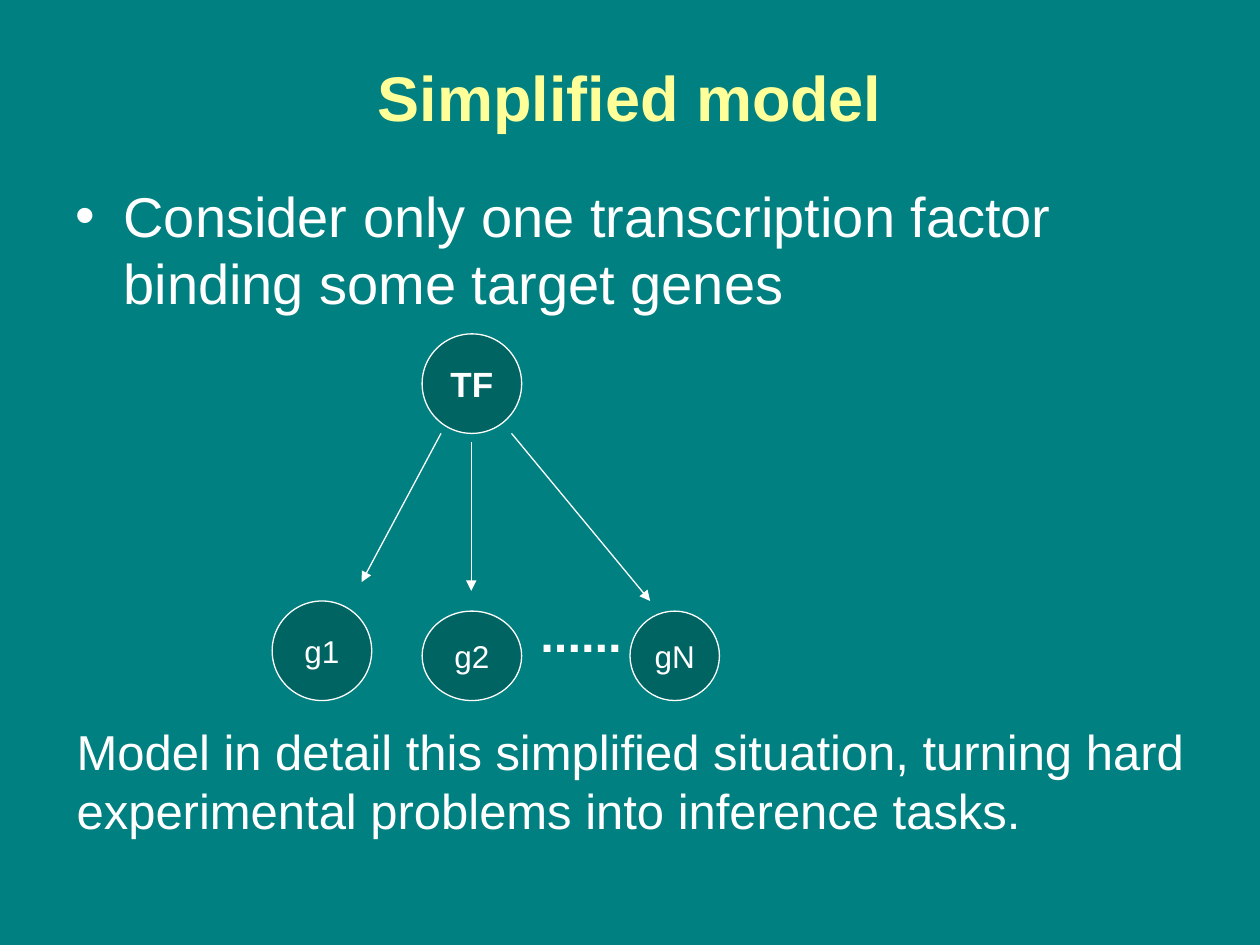
import pptx
import pptx.util
import pptx.dml.color
import pptx.enum.shapes
import pptx.enum.text
import pptx.oxml
import pptx.oxml.ns
from pptx.util import Inches

TEAL = pptx.dml.color.RGBColor(0x00, 0x80, 0x80)
DARK_TEAL = pptx.dml.color.RGBColor(0x00, 0x64, 0x62)
WHITE = pptx.dml.color.RGBColor(0xFF, 0xFF, 0xFF)
YELLOW = pptx.dml.color.RGBColor(0xFF, 0xFF, 0x99)
ALIGN = pptx.enum.text.PP_ALIGN
ANCHOR = pptx.enum.text.MSO_ANCHOR
AUTO_SIZE = pptx.enum.text.MSO_AUTO_SIZE


def add_text(paragraph, text, size, color=WHITE, bold=False, align=ALIGN.LEFT):
    paragraph.alignment = align
    paragraph.space_before = pptx.util.Pt(0)
    run = paragraph.add_run()
    run.text = text
    run.font.name = "Arial"
    run.font.size = pptx.util.Pt(size)
    run.font.bold = bold
    run.font.color.rgb = color


def add_element(parent, tag, **attributes):
    element = pptx.oxml.parse_xml(f"<a:{tag} {pptx.oxml.ns.nsdecls('a')}/>")
    for key, value in attributes.items():
        element.set(key, value)
    parent.append(element)


presentation = pptx.Presentation()
presentation.slide_width = Inches(10)
presentation.slide_height = Inches(7.5)
slide = presentation.slides.add_slide(presentation.slide_layouts[1])
slide.background.fill.solid()
slide.background.fill.fore_color.rgb = TEAL

# Title
title = slide.shapes.title
title.left, title.top, title.width, title.height = map(Inches, (0.5, 0.3, 9, 0.93))
title.text_frame.auto_size = AUTO_SIZE.NONE
title.text_frame.vertical_anchor = ANCHOR.MIDDLE
add_text(title.text_frame.paragraphs[0], "Simplified model", 36, YELLOW, True, ALIGN.CENTER)

# Bulleted assumption
assumption = slide.placeholders[1]
assumption.left, assumption.top, assumption.width, assumption.height = map(
    Inches, (0.5, 1.39, 9, 5.31))
assumption.text_frame.auto_size = AUTO_SIZE.NONE
bullet_paragraph = assumption.text_frame.paragraphs[0]
add_text(bullet_paragraph,
         "Consider only one transcription factor binding some target genes", 32)
bullet_format = bullet_paragraph._p.get_or_add_pPr()
bullet_format.set("marL", str(Inches(0.38)))
bullet_format.set("indent", str(Inches(-0.38)))
add_element(bullet_format, "buFont", typeface="Arial")
add_element(bullet_format, "buChar", char="•")

# Transcription factor and its target genes
nodes = [
    ("TF", 3.35, 2.65, 0.79, 0.79, 20, True),
    ("g1", 2.16, 4.77, 0.79, 0.79, 18, False),
    ("g2", 3.35, 4.85, 0.79, 0.71, 18, False),
    ("gN", 5, 4.85, 0.71, 0.71, 18, False),
]
for label, left, top, width, height, size, bold in nodes:
    node = slide.shapes.add_shape(pptx.enum.shapes.MSO_SHAPE.OVAL, Inches(left),
                                  Inches(top), Inches(width), Inches(height))
    node.shadow.inherit = False
    node.fill.solid()
    node.fill.fore_color.rgb = DARK_TEAL
    node.line.color.rgb = WHITE
    node.line.width = pptx.util.Pt(0.75)
    node.text_frame.word_wrap = False
    node.text_frame.vertical_anchor = ANCHOR.MIDDLE
    add_text(node.text_frame.paragraphs[0], label, size, bold=bold, align=ALIGN.CENTER)

# Binding arrows
bindings = [(3.5, 3.44, 2.87, 4.62), (3.74, 3.51, 3.74, 4.69), (4.06, 3.44, 5.16, 4.77)]
for ends in bindings:
    binding = slide.shapes.add_connector(
        pptx.enum.shapes.MSO_CONNECTOR.STRAIGHT, *map(Inches, ends))
    binding.line.color.rgb = WHITE
    binding.line.width = pptx.util.Pt(0.75)
    add_element(binding.line._get_or_add_ln(), "tailEnd", type="triangle")
    add_element(binding._element.spPr, "effectLst")

# Omitted genes and conclusion, each box a little wider than its longest line
captions = [
    (4.19, 4.74, 0.88, 0.57, ["......"], True),
    (0.51, 5.68, 9.05, 1.04,
     ["Model in detail this simplified situation, turning hard",
      "experimental problems into inference tasks."], False),
]
for left, top, width, height, lines, bold in captions:
    caption = slide.shapes.add_textbox(Inches(left), Inches(top), Inches(width), Inches(height))
    frame = caption.text_frame
    frame.word_wrap = True
    frame.auto_size = AUTO_SIZE.NONE
    for index, line in enumerate(lines):
        paragraph = frame.add_paragraph() if index else frame.paragraphs[0]
        add_text(paragraph, line, 28, bold=bold)

presentation.save("out.pptx")
